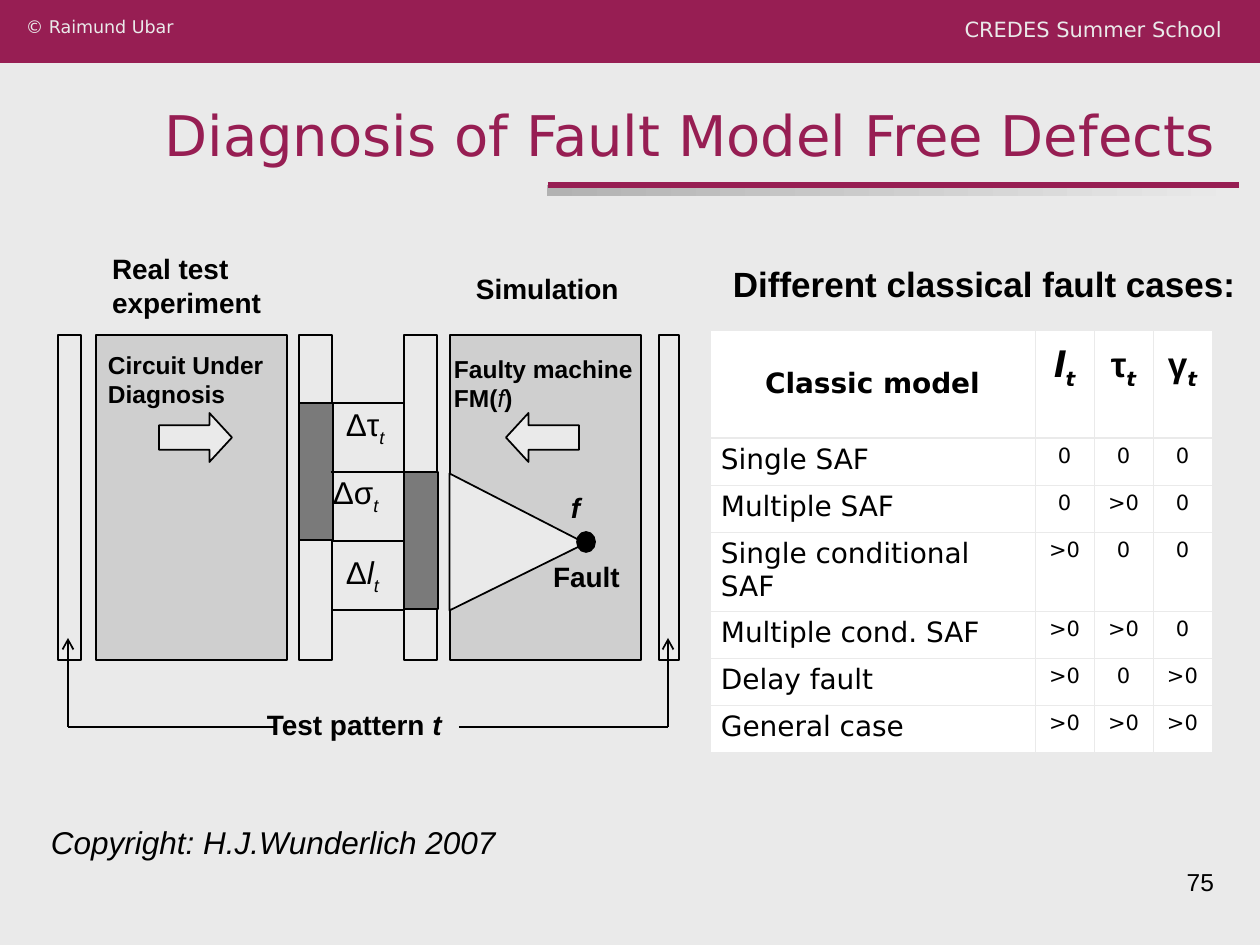
from dataclasses import dataclass

from lxml.etree import SubElement
from pptx import Presentation
from pptx.dml.color import RGBColor
from pptx.enum.shapes import MSO_CONNECTOR as Link, MSO_SHAPE as Form
from pptx.enum.text import MSO_ANCHOR as Anchor, MSO_AUTO_SIZE as Fit, PP_ALIGN as Align
from pptx.oxml.ns import qn
from pptx.util import Pt

SCALE = 914400 / 126


@dataclass(frozen=True)
class Theme:
    paper: str = "EAEAEA"
    wine: str = "971E53"
    ink: str = "000000"
    panel: str = "CFCFCF"
    dark: str = "7A7A7A"
    shade: str = "B2B2B2"
    white: str = "FFFFFF"
    sans: str = "Arial"
    deja: str = "DejaVu Sans"
    title: int = 32
    lead: int = 20
    large: int = 18
    label: int = 16
    small: int = 14
    tiny: int = 12
    note: int = 10


T = Theme()


def px(n):
    return round(n * SCALE)


def rgb(code):
    return RGBColor.from_string(code)


def write(frame, paras, size=T.label, font=T.sans, color=T.ink, style="",
          align=Align.LEFT, anchor=Anchor.TOP, pad=(12, 6, 12, 6)):
    """Fill a frame with paragraphs: a string, or a list of lists of runs.

    A run is (text, style[, font]); style letters: b bold, i italic, s subscript.
    """
    if isinstance(paras, str):
        paras = [[(paras, style)]]
    frame.word_wrap = True
    frame.vertical_anchor = anchor
    (frame.margin_left, frame.margin_top,
     frame.margin_right, frame.margin_bottom) = map(px, pad)
    for n, runs in enumerate(paras):
        para = frame.add_paragraph() if n else frame.paragraphs[0]
        para.alignment = align
        for words, look, *face in runs:
            run = para.add_run()
            run.text = words
            run.font.size = Pt(size)
            run.font.name = face[0] if face else font
            run.font.color.rgb = rgb(color)
            run.font.bold = "b" in look
            run.font.italic = "i" in look
            if "s" in look:
                run.font._element.set("baseline", "-25000")


def label(shapes, x, y, w, h, paras, **form):
    write(shapes.add_textbox(px(x), px(y), px(w), px(h)).text_frame, paras, **form)


def block(shapes, x, y, w, h, fill, form=Form.RECTANGLE, edge=T.ink):
    shape = shapes.add_shape(form, px(x), px(y), px(w), px(h))
    shape.shadow.inherit = False
    shape.fill.solid()
    shape.fill.fore_color.rgb = rgb(fill)
    if edge:
        shape.line.color.rgb = rgb(edge)
        shape.line.width = Pt(1)
    else:
        shape.line.fill.background()
    return shape


def stroke(shapes, x1, y1, x2, y2, color=T.ink, width=1, arrow=False):
    link = shapes.add_connector(Link.STRAIGHT, px(x1), px(y1), px(x2), px(y2))
    link.line.color.rgb = rgb(color)
    link.line.width = Pt(width)
    if arrow:
        SubElement(link.line._get_or_add_ln(), qn("a:tailEnd"), type="arrow")
    SubElement(link._element.spPr, qn("a:effectLst"))


def banner(shapes, x, y, w, h):
    block(shapes, x, y, w, h, T.wine, edge=None)
    label(shapes, x + w - 326, y + 11, 300, 40, "CREDES Summer School",
          size=T.tiny, font=T.deja, color=T.paper, align=Align.RIGHT)
    label(shapes, x + 14, y + 10, 300, 40, "© Raimund Ubar",
          size=T.note, font=T.deja, color=T.paper)


def heading(shapes, x, y, w, h):
    bar = block(shapes, x + 547, y + 91, 694, 11, T.shade, edge=None)
    bar.fill.gradient()
    bar.fill.gradient_angle = 0
    for stop, color in zip(bar.fill.gradient_stops, (T.shade, T.paper)):
        stop.color.rgb = rgb(color)
    stroke(shapes, x + 548, y + 91, x + 1239, y + 91, T.wine, 3)
    title = shapes.title
    title.left, title.top, title.width, title.height = map(px, (x, y, w, h))
    write(title.text_frame, "Diagnosis of Fault Model Free Defects", size=T.title,
          font=T.deja, color=T.wine, align=Align.RIGHT, anchor=Anchor.BOTTOM)
    title.text_frame.auto_size = Fit.NONE


def diagram(shapes, x, y):
    """Test experiment on the left, simulation on the right, differences between."""
    def put(left, top, *rest, **form):
        return block(shapes, x + left, y + top, *rest, **form)

    def say(left, top, *rest, **form):
        label(shapes, x + left, y + top, *rest, **form)

    def draw(x1, y1, x2, y2, **form):
        stroke(shapes, x + x1, y + y1, x + x2, y + y2, **form)

    for left, wide, fill in ((38, 191, T.panel), (392, 191, T.panel),
                             (241, 33, T.paper), (0, 23, T.paper),
                             (346, 33, T.paper), (601, 20, T.paper)):
        put(left, 89, wide, 325, fill)

    say(42, 0, 232, 81, "Real test experiment", style="b")
    say(406, 20, 190, 47, "Simulation", style="b")
    say(384, 102, 239, 72, [[("Faulty machine", "b")],
                            [("FM(", "b"), ("f", "i"), (")", "b")]], size=T.small)
    say(38, 98, 239, 72, "Circuit Under Diagnosis", size=T.small, style="b")
    say(197, 456, 227, 47, [[("Test pattern ", "b"), ("t", "bi")]])

    for outer, inner in ((10, 219), (610, 401)):
        draw(inner, 481, outer, 481)
        draw(outer, 481, outer, 392, arrow=True)

    for left, form in ((101, Form.RIGHT_ARROW), (448, Form.LEFT_ARROW)):
        arrow = put(left, 167, 73, 49, T.paper, form=form)
        arrow.adjustments[1] = 0.46

    cone = put(391, 228, 137, 136, T.paper, form=Form.ISOSCELES_TRIANGLE)
    cone.rotation = 90
    cone.adjustments[0] = 0.51
    put(519, 286, 18, 20, T.ink, form=Form.OVAL)
    say(483, 308, 96, 47, "Fault", style="b")
    say(501, 239, 50, 47, "f", style="bi")

    top, step = 157, 69
    for left, row in ((346, 1), (241, 0)):
        put(left, top + row * step, 34, 2 * step - 1, T.dark)
    for row in range(4):
        draw(273, top + row * step, 346, top + row * step)
    for left, high, wide, runs in (
            (263, 221, 100, [("Δσ", ""), ("t", "is")]),
            (276, 153, 73, [("Δτ", ""), ("t", "is")]),
            (276, 301, 73, [("Δ", ""), ("l", "i"), ("t", "is")])):
        say(left, high, wide, 55, [runs], size=T.large)


def dress(cell, top, bottom):
    """Give a cell its borders, then a white fill."""
    props = cell._tc.get_or_add_tcPr()
    for side, width in (("L", 0.45), ("R", 0.45), ("T", top), ("B", bottom)):
        line = SubElement(props, qn("a:ln" + side), w=str(Pt(width)))
        SubElement(SubElement(line, qn("a:solidFill")), qn("a:srgbClr"), val=T.paper)
    cell.fill.solid()
    cell.fill.fore_color.rgb = rgb(T.white)


def cases(shapes, x, y):
    label(shapes, x + 11, y, 539, 55, "Different classical fault cases:",
          size=T.lead, style="b")
    rows = (("Single SAF", "0", "0", "0"),
            ("Multiple SAF", "0", ">0", "0"),
            ("Single conditional SAF", ">0", "0", "0"),
            ("Multiple cond. SAF", ">0", ">0", "0"),
            ("Delay fault", ">0", "0", ">0"),
            ("General case", ">0", ">0", ">0"))
    wide, high = (325, 59, 59, 59), (108, 47, 47, 62, 47, 47, 47)
    grid = shapes.add_table(len(high), len(wide), px(x), px(y + 74),
                            px(sum(wide)), px(sum(high))).table
    for col, size in zip(grid.columns, wide):
        col.width = px(size)
    for row, size in zip(grid.rows, high):
        row.height = px(size)
    for r in range(len(high)):
        for c in range(len(wide)):
            dress(grid.cell(r, c), 1.47 if r == 1 else 0.45, 1.47 if r == 0 else 0.45)

    pad = (11, 6, 11, 6)
    write(grid.cell(0, 0).text_frame, "Classic model", font=T.deja, style="b",
          align=Align.CENTER)
    grid.cell(0, 0).vertical_anchor = Anchor.MIDDLE
    heads = (("l", "bi", T.deja), ("τ", "b"), ("γ", "b"))
    for c, head in enumerate(heads, 1):
        cell = grid.cell(0, c)
        write(cell.text_frame, [[head, ("t", "bis", T.deja)]], size=T.lead,
              align=Align.CENTER)
        cell.vertical_anchor = Anchor.BOTTOM
        cell.margin_left = cell.margin_right = px(11)
        cell.margin_bottom = px(47)
    for r, row in enumerate(rows, 1):
        for c, words in enumerate(row):
            write(grid.cell(r, c).text_frame, words, font=T.deja, pad=pad,
                  size=T.tiny if c else T.label,
                  align=Align.CENTER if c else Align.LEFT)
            cell = grid.cell(r, c)
            cell.margin_left = cell.margin_right = px(11)
            cell.margin_top = cell.margin_bottom = px(6)


def footer(shapes, x, y):
    label(shapes, x, y, 496, 50, "Copyright: H.J.Wunderlich 2007",
          size=T.large, style="i")
    label(shapes, x + 864, y + 44, 323, 66, "75", size=T.small, align=Align.RIGHT)


def main():
    deck = Presentation()
    deck.slide_width, deck.slide_height = px(1260), px(945)
    slide = deck.slides.add_slide(deck.slide_layouts[5])
    slide.background.fill.solid()
    slide.background.fill.fore_color.rgb = rgb(T.paper)
    shapes = slide.shapes
    banner(shapes, 0, 0, 1260, 63)
    heading(shapes, 0, 94, 1228, 80)
    footer(shapes, 39, 817)
    diagram(shapes, 58, 246)
    cases(shapes, 710, 256)
    deck.save("out.pptx")


if __name__ == "__main__":
    main()
